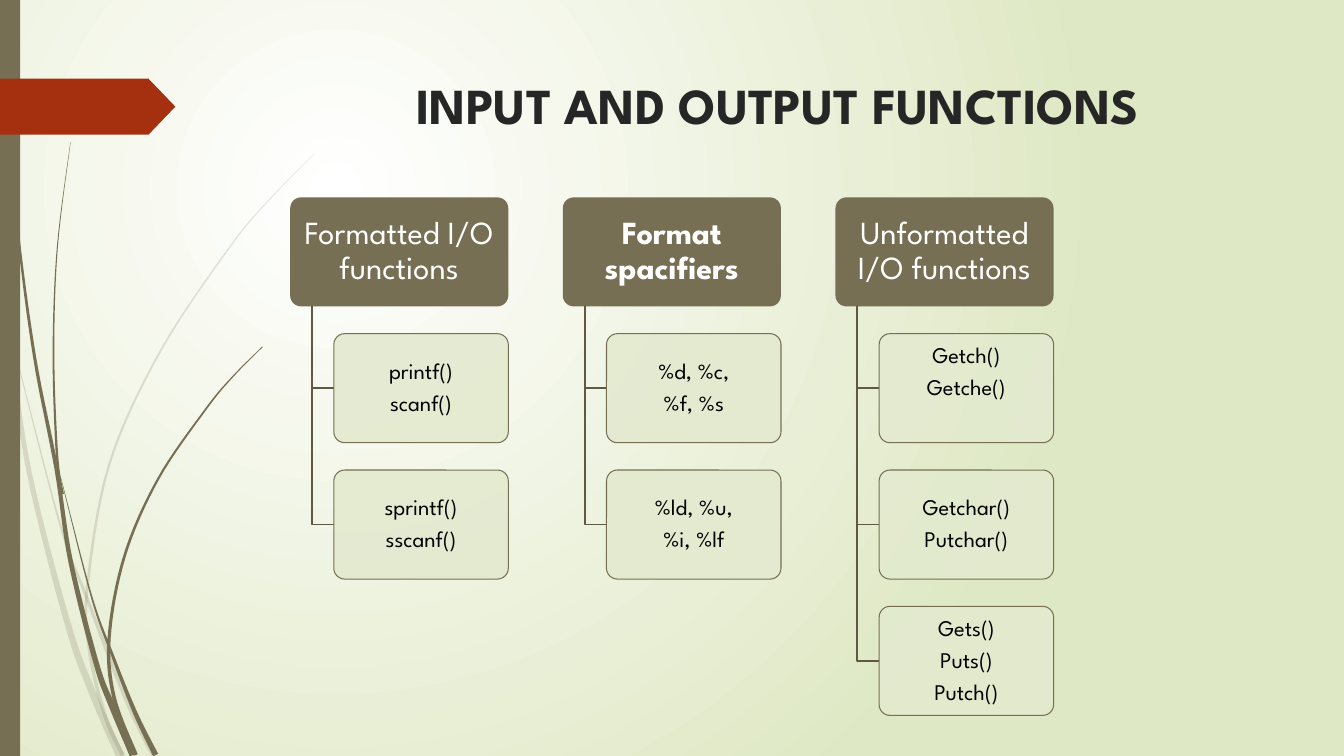
import math

import lxml.etree
import pptx
import pptx.dml.color
import pptx.enum.shapes
import pptx.enum.text
import pptx.oxml
import pptx.oxml.ns
import pptx.util

Pt = pptx.util.Pt
RGBColor = pptx.dml.color.RGBColor
Shape = pptx.enum.shapes.MSO_SHAPE
Anchor = pptx.enum.text.MSO_ANCHOR

WHITE = RGBColor(0xFF, 0xFF, 0xFF)
BLACK = RGBColor(0x00, 0x00, 0x00)
CHARCOAL = RGBColor(0x26, 0x26, 0x26)
OLIVE = RGBColor(0x76, 0x6F, 0x54)
DARK_OLIVE = RGBColor(0x5E, 0x59, 0x43)
PALE_GREEN = RGBColor(0xE3, 0xEA, 0xCF)
MEADOW = RGBColor(0xDF, 0xE8, 0xC4)
RUST = RGBColor(0xA5, 0x30, 0x10)


def write(frame, lines, size, color, bold=False, anchor=Anchor.MIDDLE,
          margins=(3.5, 2.3, 3.5, 2.3), line_spacing=0.9, space_after=0):
    """Fill a text frame with centred paragraphs; margins run left, top, right, bottom."""
    frame.word_wrap = True
    frame.auto_size = pptx.enum.text.MSO_AUTO_SIZE.NONE
    frame.vertical_anchor = anchor
    (frame.margin_left, frame.margin_top,
     frame.margin_right, frame.margin_bottom) = [Pt(margin) for margin in margins]
    for number, line in enumerate(lines):
        paragraph = frame.add_paragraph() if number else frame.paragraphs[0]
        paragraph.alignment = pptx.enum.text.PP_ALIGN.CENTER
        paragraph.line_spacing = line_spacing
        paragraph.space_before = Pt(0)
        paragraph.space_after = Pt(space_after)
        run = paragraph.add_run()
        run.text = line
        run.font.name = "League Spartan"
        run.font.size = Pt(size)
        run.font.bold = bold
        run.font.color.rgb = color


def paint(shape, fill=None, opacity=100, line=None, line_width=0.75):
    shape.shadow.inherit = False
    if fill is None:
        shape.fill.background()
    else:
        shape.fill.solid()
        shape.fill.fore_color.rgb = fill
        if opacity < 100:
            color = shape.fill._xPr.find(".//" + pptx.oxml.ns.qn("a:srgbClr"))
            lxml.etree.SubElement(color, pptx.oxml.ns.qn("a:alpha"), val=str(opacity * 1000))
    if line is None:
        shape.line.fill.background()
    else:
        shape.line.color.rgb = line
        shape.line.width = Pt(line_width)


presentation = pptx.Presentation()
presentation.slide_width = Pt(960)
presentation.slide_height = Pt(540)
slide = presentation.slides.add_slide(presentation.slide_layouts[5])
shapes = slide.shapes

# Background: white glow near the upper left, fading to green
backdrop = slide.background.fill
backdrop.gradient()
for stop, position, color in zip(backdrop.gradient_stops, (0, 1), (WHITE, MEADOW)):
    stop.position = position
    stop.color.rgb = color
linear = slide.background._cSld.find(".//" + pptx.oxml.ns.qn("a:lin"))
glow = pptx.oxml.parse_xml(
    '<a:path xmlns:a="http://schemas.openxmlformats.org/drawingml/2006/main" path="circle">'
    '<a:fillToRect l="50000" t="50000" r="100000" b="100000"/></a:path>')
linear.getparent().replace(linear, glow)

# Grass blades: opacity, width at tip, width at root, points from tip to root
blades = [
    (20, 2, 6, [(0, 209), (7.5, 248), (21, 338), (48.5, 446), (67, 497), (86, 540)]),
    (20, 0.5, 4, [(10, 248), (43, 375), (62, 427), (90, 499), (110, 540)]),
    (20, 0.2, 3, [(224.5, 110), (193, 142), (164.5, 176), (114.5, 251), (78, 332),
                  (62.3, 420.5), (64, 465), (75, 511), (88, 540)]),
    (100, 0.5, 5, [(2.5, 0), (5.4, 79), (13, 167.4), (24.8, 255.6), (40.3, 335),
                   (50.4, 400.7), (68.8, 474), (79.5, 503), (95, 539.3)]),
    (100, 0.2, 4, [(43.2, 340), (65.2, 425.5), (80.6, 468.7), (96.5, 509), (111.2, 539.3)]),
    (100, 0.2, 2.2, [(50.4, 101.5), (41, 176.4), (38.2, 251.3), (40.7, 324.7), (44.6, 353)]),
    (100, 0.5, 3, [(187.5, 247.7), (166.3, 269), (147.2, 292), (113, 342), (89, 397),
                   (78, 455), (81.4, 498), (97, 539.3)]),
]
STEPS = 8
for opacity, tip_width, root_width, knots in blades:
    padded = [knots[0]] + knots + [knots[-1]]
    spine = []
    for p0, p1, p2, p3 in zip(padded, padded[1:], padded[2:], padded[3:]):
        for step in range(STEPS):
            t = step / STEPS
            spine.append([
                (2 * b + (c - a) * t + (2 * a - 5 * b + 4 * c - d) * t ** 2
                 + (3 * b - a - 3 * c + d) * t ** 3) / 2
                for a, b, c, d in zip(p0, p1, p2, p3)])
    spine.append(knots[-1])
    left_edge, right_edge = [], []
    last = len(spine) - 1
    for index, (x, y) in enumerate(spine):
        before, after = spine[max(index - 1, 0)], spine[min(index + 1, last)]
        dx, dy = after[0] - before[0], after[1] - before[1]
        half = (tip_width + (root_width - tip_width) * index / last) / 2 / math.hypot(dx, dy)
        left_edge.append((Pt(x - dy * half), Pt(y + dx * half)))
        right_edge.append((Pt(x + dy * half), Pt(y - dx * half)))
    outline = left_edge + right_edge[::-1]
    blade = shapes.build_freeform(*outline[0])
    blade.add_line_segments(outline[1:], close=True)
    paint(blade.convert_to_shape(), OLIVE, opacity)

side_band = shapes.add_shape(Shape.RECTANGLE, Pt(0), Pt(0), Pt(14.4), Pt(540))
paint(side_band, OLIVE)
page_tag = shapes.add_shape(Shape.PENTAGON, Pt(0), Pt(56.2), Pt(125.3), Pt(40))
page_tag.adjustments[0] = 0.48
paint(page_tag, RUST)

heading = shapes.title
heading.left, heading.top, heading.width, heading.height = Pt(204.5), Pt(49), Pt(702), Pt(100.8)
write(heading.text_frame, ["INPUT AND OUTPUT FUNCTIONS"], 36, CHARCOAL, bold=True,
      anchor=Anchor.TOP, margins=(7.2, 3.6, 7.2, 3.6), line_spacing=1.0)

# Hierarchy: each branch has a head card and leaf cards hanging from its stem
branches = [
    ("Formatted I/O functions", False,
     [["printf()", "scanf()"], ["sprintf()", "sscanf()"]]),
    ("Format spacifiers", True,
     [["%d, %c,", "%f, %s"], ["%ld, %u,", "%i, %lf"]]),
    ("Unformatted I/O functions", False,
     [["Getch()", "Getche()"], ["Getchar()", "Putchar()"], ["Gets()", "Puts()", "Putch()"]]),
]
LEFT, TOP, CARD_W, CARD_H = 207.3, 141, 155.8, 77.9
LINE_PITCH = 22.8
for column, (branch, bold, leaves) in enumerate(branches):
    x = LEFT + column * 1.25 * CARD_W
    head = shapes.add_shape(Shape.ROUNDED_RECTANGLE, Pt(x), Pt(TOP), Pt(CARD_W), Pt(CARD_H))
    head.adjustments[0] = 0.1
    paint(head, OLIVE)
    write(head.text_frame, [branch], 23, WHITE, bold=bold)

    stem_x, leaf_x = x + 0.1 * CARD_W, x + 0.2 * CARD_W
    for row, functions in enumerate(leaves, start=1):
        leaf_y = TOP + row * 1.25 * CARD_H
        middle = leaf_y + CARD_H / 2
        stem = shapes.build_freeform(Pt(stem_x), Pt(TOP + CARD_H))
        stem.add_line_segments([(Pt(stem_x), Pt(middle)), (Pt(leaf_x), Pt(middle))], close=False)
        paint(stem.convert_to_shape(), line=DARK_OLIVE, line_width=1.25)

        leaf = shapes.add_shape(Shape.ROUNDED_RECTANGLE, Pt(leaf_x), Pt(leaf_y),
                                Pt(0.8 * CARD_W), Pt(CARD_H))
        leaf.adjustments[0] = 0.1
        paint(leaf, PALE_GREEN, 90, line=OLIVE)
        raised = LINE_PITCH if functions[0] == "Getch()" else 0
        write(leaf.text_frame, functions, 16, BLACK,
              margins=(2.4, 1.6, 2.4, 1.6 + raised), space_after=5.6)

presentation.save("out.pptx")
